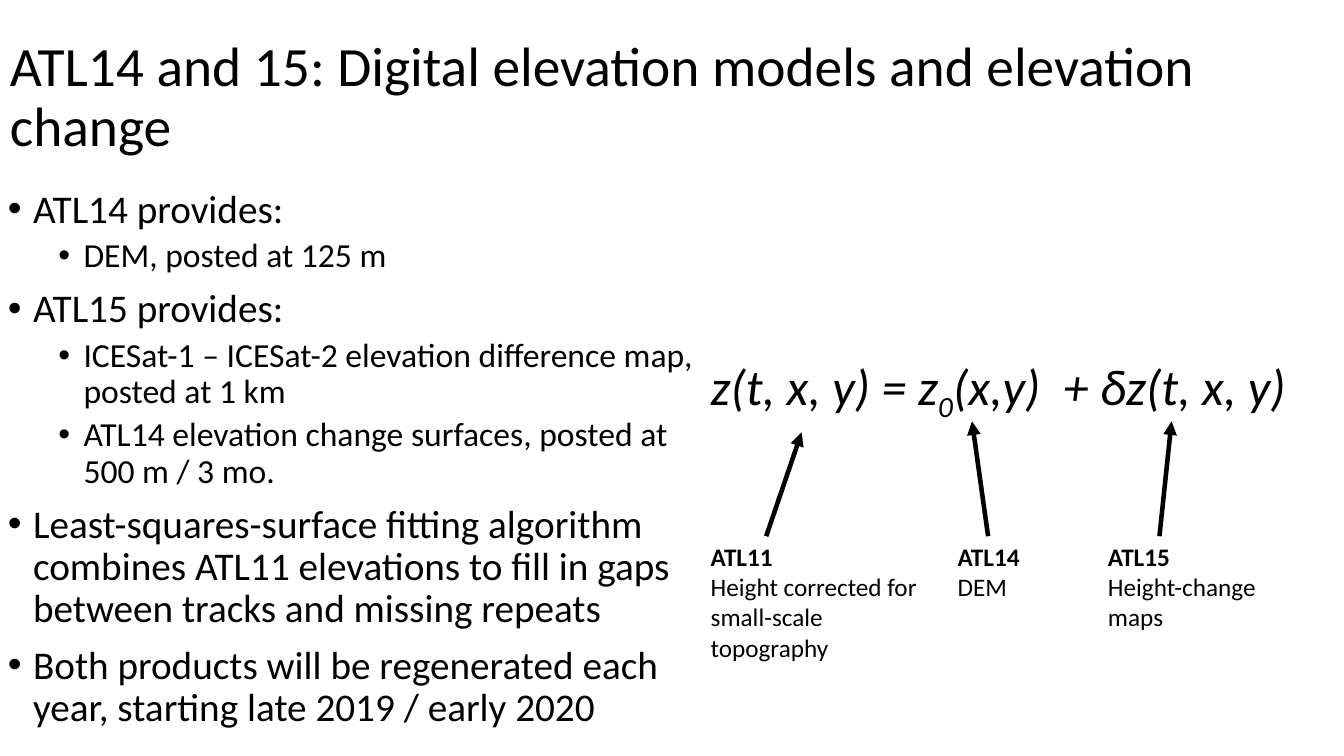
from lxml.etree import SubElement
from pptx import Presentation
from pptx.dml.color import RGBColor
from pptx.enum.shapes import MSO_CONNECTOR
from pptx.enum.text import MSO_ANCHOR
from pptx.oxml.ns import qn
from pptx.util import Inches, Pt

BLACK = RGBColor(0, 0, 0)
WIDE, HIGH = Inches(13.33), Inches(7.5)

TITLE = "ATL14 and 15: Digital elevation models and elevation change"
POINTS = [
    (0, "ATL14 provides:"),
    (1, "DEM, posted at 125 m"),
    (0, "ATL15 provides:"),
    (1, "ICESat-1 – ICESat-2 elevation difference map, posted at 1 km"),
    (1, "ATL14 elevation change surfaces, posted at 500 m / 3 mo."),
    (0, "Least-squares-surface fitting algorithm combines ATL11 elevations "
        "to fill in gaps between tracks and missing repeats"),
    (0, "Both products will be regenerated each year, starting late 2019 / early 2020"),
]
TERMS = [("z(t, x, y) = z", 0), ("0", -25000), ("(x,y)  + δz(t, x, y)", 0)]
LABELS = [
    {"name": "ATL11", "note": "Height corrected for small-scale topography",
     "left": 52.14, "wide": 16.88, "rows": 4, "tail": 57.01, "head": (59.64, 57.2)},
    {"name": "ATL14", "note": "DEM",
     "left": 70.52, "wide": 7.65, "rows": 2, "tail": 73.52, "head": (72.32, 55.73)},
    {"name": "ATL15", "note": "Height-change maps",
     "left": 81.7, "wide": 16.88, "rows": 3, "tail": 86.27, "head": (87.17, 55.73)},
]
LEVELS = [
    {"size": 28, "gap": 10, "left": 0.25},
    {"size": 24, "gap": 5, "left": 0.75},
]
HANG = 0.25
FLOOR = 70.93
ROW, PAD = 4, 1.47


def across(share):
    return round(WIDE * share / 100)


def down(share):
    return round(HIGH * share / 100)


def add_box(left, top, wide, high):
    box = slide.shapes.add_textbox(across(left), down(top), across(wide), down(high))
    box.text_frame.word_wrap = True
    return box.text_frame


def next_par(frame, index):
    return frame.add_paragraph() if index else frame.paragraphs[0]


def add_run(par, text, size, **style):
    run = par.add_run()
    run.text = text
    run.font.color.rgb = BLACK
    for key, value in {"name": "Calibri", "size": Pt(size), **style}.items():
        setattr(run.font, key, value)
    return run


def add_bullet(par, left):
    props = par._p.get_or_add_pPr()
    props.set("marL", str(Inches(left)))
    props.set("indent", str(-Inches(HANG)))
    SubElement(props, qn("a:buFont")).set("typeface", "Arial")
    SubElement(props, qn("a:buChar")).set("char", "•")


def add_arrow(tail, head):
    line = slide.shapes.add_connector(
        MSO_CONNECTOR.STRAIGHT,
        across(tail[0]), down(tail[1]), across(head[0]), down(head[1]))
    line.line.color.rgb = BLACK
    line.line.width = Pt(3.25)
    SubElement(line.line._get_or_add_ln(), qn("a:tailEnd")).set("type", "triangle")
    SubElement(line._element.spPr, qn("a:effectLst"))


deck = Presentation()
deck.slide_width, deck.slide_height = WIDE, HIGH
slide = deck.slides.add_slide(deck.slide_layouts[6])

frame = add_box(0, 6.8, 93.4, 12.53)
frame.vertical_anchor = MSO_ANCHOR.MIDDLE
par = frame.paragraphs[0]
par.line_spacing = 0.9
add_run(par, TITLE, 39.6)

frame = add_box(-0.15, 24.4, 52.51, 75.6)
for index, (level, text) in enumerate(POINTS):
    form = LEVELS[level]
    par = next_par(frame, index)
    par.level = level
    par.line_spacing = 0.9
    par.space_before = Pt(form["gap"] if index else 0)
    add_bullet(par, form["left"])
    add_run(par, text, form["size"])

par = add_box(52.14, 46.27, 44.49, 9.47).paragraphs[0]
for text, shift in TERMS:
    run = add_run(par, text, 36, italic=True)
    if shift:
        run._r.get_or_add_rPr().set("baseline", str(shift))

for label in LABELS:
    frame = add_box(label["left"], FLOOR, label["wide"], PAD + ROW * label["rows"])
    for index, part in enumerate(("name", "note")):
        add_run(next_par(frame, index), label[part], 18, bold=part == "name")
    add_arrow((label["tail"], FLOOR), label["head"])

deck.save("out.pptx")
